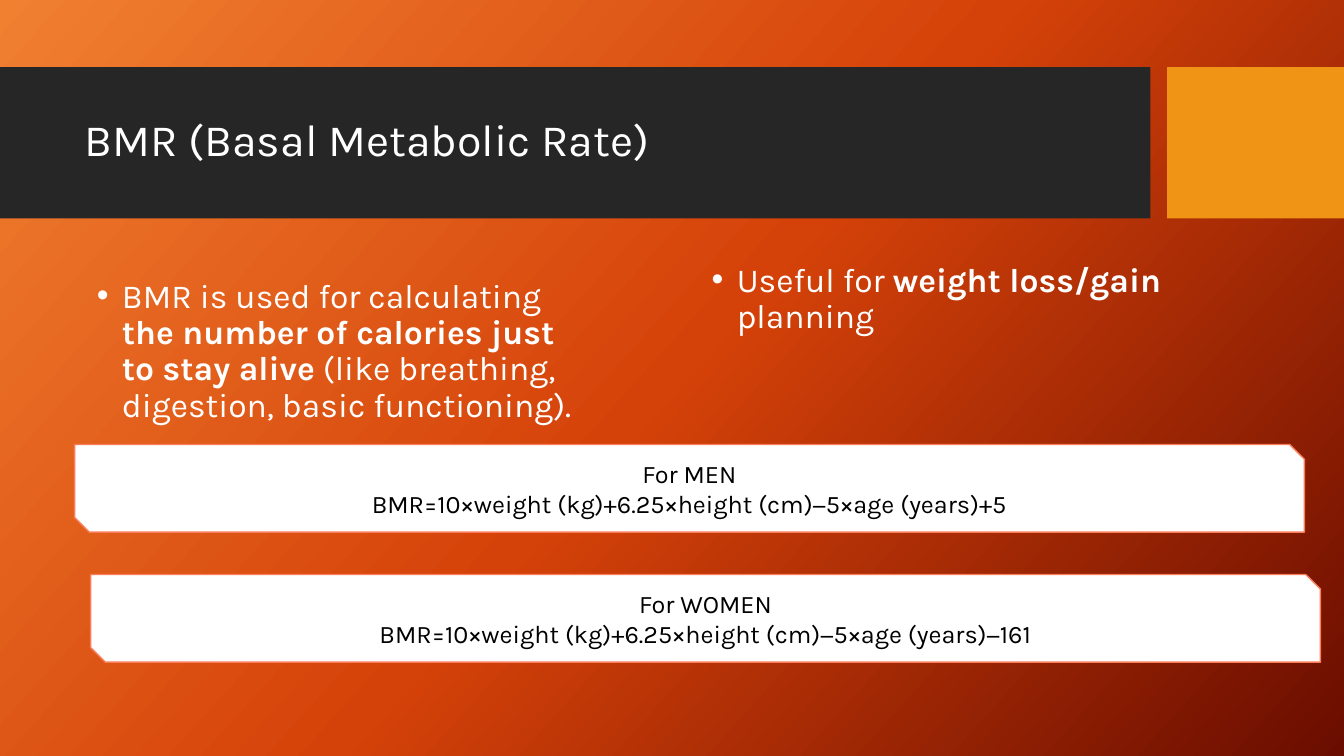
import copy
import pptx
import pptx.util
import pptx.dml.color
import pptx.enum.shapes
import pptx.enum.text
import pptx.oxml
import pptx.oxml.ns

Pt = pptx.util.Pt
RGB = pptx.dml.color.RGBColor.from_string
Align = pptx.enum.text.PP_ALIGN
Shape = pptx.enum.shapes.MSO_SHAPE

COLORS = {
    "glow": "F18031",
    "ember": "D54209",
    "maroon": "6A0D00",
    "charcoal": "262626",
    "amber": "F09415",
    "coral": "FA7E5C",
    "white": "FFFFFF",
    "black": "000000",
}


def add_text(paragraph, text, size=24, color="white", bold=False, align=Align.LEFT, spacing=0.9, before=0):
    paragraph.alignment = align
    paragraph.line_spacing = spacing
    paragraph.space_before = Pt(before)
    run = paragraph.add_run()
    run.text = text
    run.font.name = "Karla"
    run.font.size = Pt(size)
    run.font.bold = bold
    run.font.color.rgb = RGB(COLORS[color])


def place(item, left, top, width, height):
    item.left, item.top, item.width, item.height = Pt(left), Pt(top), Pt(width), Pt(height)
    item.text_frame.word_wrap = True
    item.text_frame.auto_size = pptx.enum.text.MSO_AUTO_SIZE.NONE


deck = pptx.Presentation()
deck.slide_width, deck.slide_height = Pt(960), Pt(540)
slide = deck.slides.add_slide(deck.slide_layouts[3])
for footer in list(slide.placeholders)[3:]:
    footer.element.getparent().remove(footer.element)

backdrop = slide.background.fill
backdrop.gradient()
backdrop.gradient_angle = 318
stop_list = slide.element.find(".//" + pptx.oxml.ns.qn("a:gsLst"))
stop_list.insert(1, copy.deepcopy(stop_list[0]))
for stop, position, color in zip(backdrop.gradient_stops, (0, 0.5, 1), ("glow", "ember", "maroon")):
    stop.position = position
    stop.color.rgb = RGB(COLORS[color])

heading = slide.shapes.title
for left, width, color in ((0, 821.8, "charcoal"), (833.6, 126.4, "amber")):
    band = slide.shapes.add_shape(Shape.RECTANGLE, Pt(left), Pt(48), Pt(width), Pt(108))
    band.shadow.inherit = False
    band.fill.solid()
    band.fill.fore_color.rgb = RGB(COLORS[color])
    band.line.fill.background()
    heading.element.addprevious(band.element)

place(heading, 53.3, 59, 756.7, 85)
heading.text_frame.vertical_anchor = pptx.enum.text.MSO_ANCHOR.MIDDLE
add_text(heading.text_frame.paragraphs[0], "BMR (Basal Metabolic Rate)", size=32)

points = (
    (1, 61.9, 195.8, (
        ("BMR is used for calculating ", False),
        ("the number of calories just to stay alive", True),
        (" (like breathing, digestion, basic functioning).", False),
    )),
    (2, 501.1, 184.3, (
        ("Useful for ", False),
        ("weight loss/gain", True),
        (" planning", False),
    )),
)
for index, left, top, phrases in points:
    point = slide.placeholders[index]
    place(point, left, top, 370, 283.7)
    paragraph = point.text_frame.paragraphs[0]
    for phrase, bold in phrases:
        add_text(paragraph, phrase, bold=bold, before=10)
    properties = paragraph._p.get_or_add_pPr()
    properties.set("marL", str(Pt(18)))
    properties.set("indent", str(Pt(-18)))
    namespace = pptx.oxml.ns.nsdecls("a")
    properties.append(pptx.oxml.parse_xml(f'<a:buFont {namespace} typeface="Arial"/>'))
    properties.append(pptx.oxml.parse_xml(f'<a:buChar {namespace} char="•"/>'))

formulas = (
    (53.3, 317.5, "For MEN", "+5"),
    (64.8, 410.4, "For WOMEN", "−161"),
)
for left, top, group, constant in formulas:
    formula = slide.shapes.add_shape(Shape.SNIP_2_DIAG_RECTANGLE, 0, 0, 0, 0)
    place(formula, left, top, 878.4, 62.6)
    formula.shadow.inherit = False
    formula.fill.solid()
    formula.fill.fore_color.rgb = RGB(COLORS["white"])
    formula.line.color.rgb = RGB(COLORS["coral"])
    formula.line.width = Pt(1)
    frame = formula.text_frame
    frame.vertical_anchor = pptx.enum.text.MSO_ANCHOR.MIDDLE
    equation = f"BMR=10×weight (kg)+6.25×height (cm)−5×age (years){constant}"
    for paragraph, text in ((frame.paragraphs[0], group), (frame.add_paragraph(), equation)):
        add_text(paragraph, text, size=18, color="black", align=Align.CENTER, spacing=1.0)

deck.save("out.pptx")
